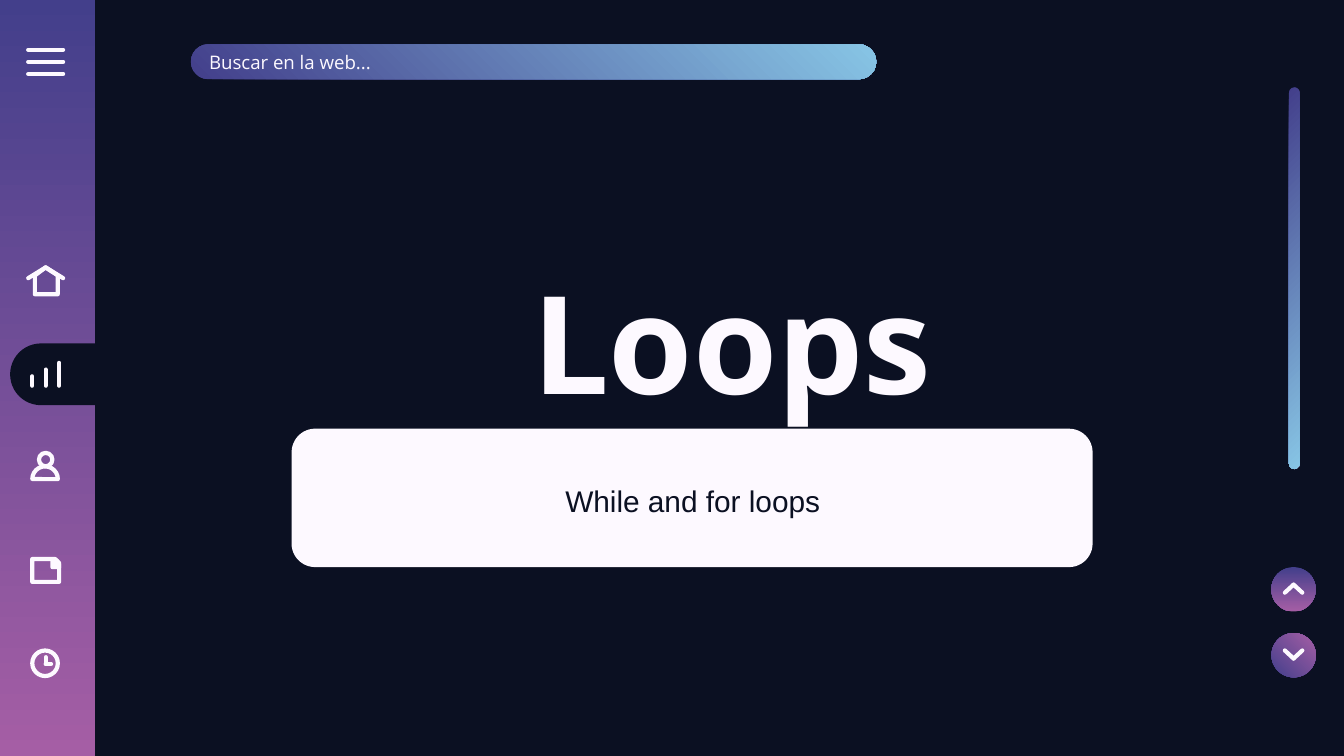
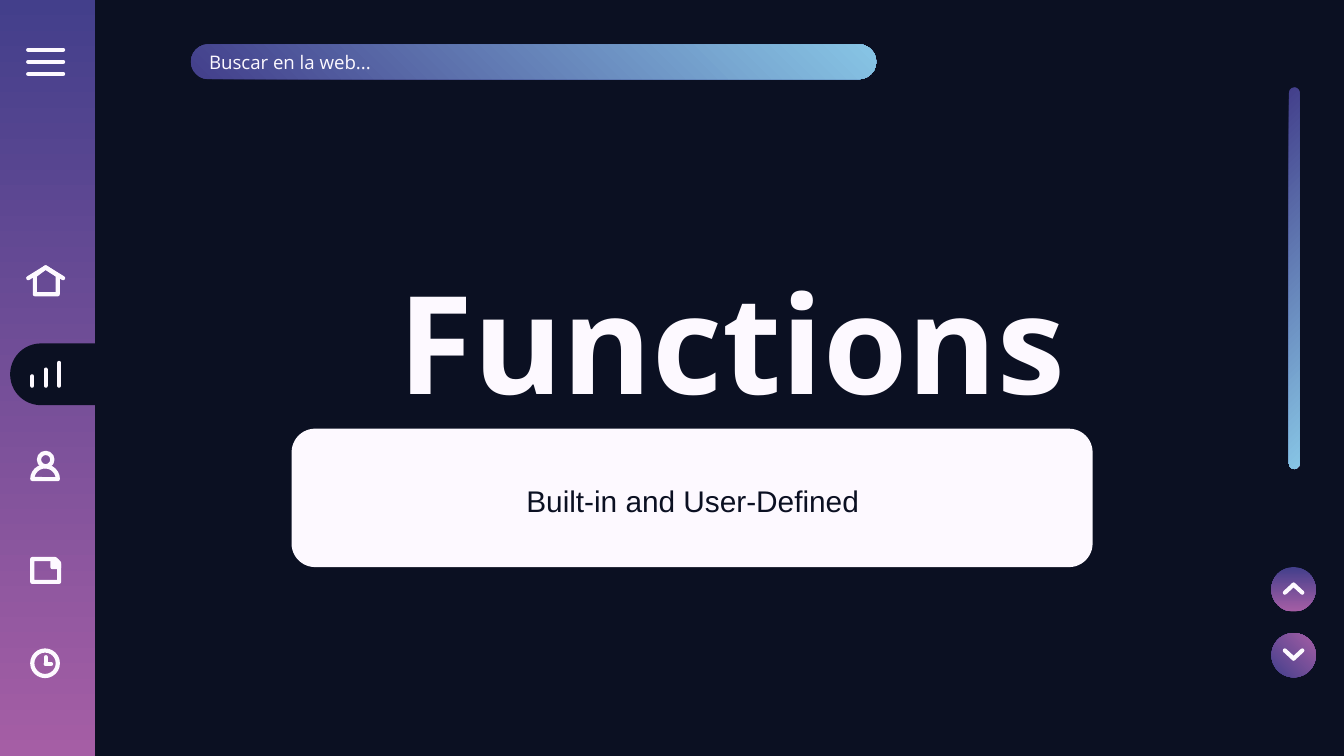
from lxml import etree
from pptx import Presentation
from pptx.dml import color
from pptx.enum import shapes, text
from pptx.oxml import ns
from pptx.util import Inches, Pt

COLUMNS, ROWS = 100, 56.25
CELL = Inches(10) / COLUMNS
INDIGO, ORCHID, SKY = "433F8B", "A55EA5", "87C5E5"
PALE, NIGHT = "FDF9FF", "0B1022"
KIND = shapes.MSO_SHAPE
UP_RIGHT, DOWN, DOWN_LEFT = 45, 270, 225
SECTIONS = [
    ("Loops", "While and for loops"),
    ("Functions", "Built-in and User-Defined"),
]


def grid(*cells):
    """Turn grid cells into lengths."""
    return [round(cell * CELL) for cell in cells]


def rgb(code):
    """Turn a hex string into a colour."""
    return color.RGBColor.from_string(code)


def assign(target, values):
    """Set each attribute of the target from a dict."""
    for name, value in values.items():
        setattr(target, name, value)


def paint(shape, fill=None, angle=None):
    """Fill a shape with one colour, a pair of gradient colours or nothing."""
    if fill is None:
        shape.fill.background()
    elif angle is None:
        shape.fill.solid()
        shape.fill.fore_color.rgb = rgb(fill)
    else:
        shape.fill.gradient()
        shape.fill.gradient_angle = angle
        for stop, code in zip(shape.fill.gradient_stops, fill):
            stop.color.rgb = rgb(code)


def stroke(shape):
    """Give a shape the pale rounded icon line."""
    shape.line.color.rgb = rgb(PALE)
    shape.line.width = Pt(2.25)
    outline = shape.line._get_or_add_ln()
    outline.set("cap", "rnd")
    etree.SubElement(outline, ns.qn("a:round"))


def add_block(parent, kind, place, fill=None, angle=None, turn=0, adjust=(), lined=False):
    """Add a preset shape placed on the grid."""
    shape = parent.shapes.add_shape(kind, *grid(*place))
    shape.shadow.inherit = False
    shape.rotation = turn
    for index, value in enumerate(adjust):
        shape.adjustments[index] = value
    paint(shape, fill, angle)
    if lined:
        stroke(shape)
    else:
        shape.line.fill.background()
    return shape


def add_strokes(parent, *ends):
    """Add straight icon lines, each given as x1, y1, x2, y2."""
    for end in ends:
        line = parent.shapes.add_connector(shapes.MSO_CONNECTOR.STRAIGHT, *grid(*end))
        stroke(line)
        etree.SubElement(line._element.spPr, ns.qn("a:effectLst"))


def add_outline(parent, points, fill=None):
    """Add a closed polygon with the icon line."""
    corners = [grid(*point) for point in points]
    builder = parent.shapes.build_freeform(*corners[0], scale=1.0)
    builder.add_line_segments(corners[1:], close=True)
    shape = builder.convert_to_shape()
    shape.shadow.inherit = False
    paint(shape, fill)
    stroke(shape)


def write(box, words, font, code, layout=None):
    """Write one paragraph, vertically centred, in a box."""
    frame = box.text_frame
    margins = dict.fromkeys(
        ("margin_left", "margin_top", "margin_right", "margin_bottom"), Inches(0.1))
    assign(frame, {"word_wrap": True, "vertical_anchor": text.MSO_ANCHOR.MIDDLE, **margins})
    para = frame.paragraphs[0]
    assign(para, {"alignment": text.PP_ALIGN.CENTER, **(layout or {})})
    span = para.add_run()
    span.text = words
    assign(span.font, font)
    span.font.color.rgb = rgb(code)


def add_menu_icon(page):
    """Draw the three menu bars."""
    icon = page.shapes.add_group_shape()
    add_strokes(icon, *[(2.1, row, 4.7, row) for row in (3.7, 4.6, 5.5)])


def add_home_icon(page):
    """Draw the house."""
    icon = page.shapes.add_group_shape()
    add_strokes(icon, *[(eave, 20.7, 3.4, 19.9) for eave in (2.1, 4.7)])
    add_outline(icon, [(2.6, 20.5), (2.6, 21.9), (4.3, 21.9), (4.3, 20.5), (3.4, 19.9)])


def add_person_icon(page):
    """Draw the head and shoulders."""
    icon = page.shapes.add_group_shape()
    add_block(icon, KIND.OVAL, (2.9, 33.7, 1, 1), lined=True)
    add_block(icon, KIND.PIE, (2.4, 34.7, 1.9, 1.9), turn=90, adjust=(54.33, 162), lined=True)


def add_clock_icon(page):
    """Draw the clock face and its hands."""
    icon = page.shapes.add_group_shape()
    add_block(icon, KIND.OVAL, (2.4, 48.4, 1.9, 1.9), lined=True)
    add_strokes(icon, (3.4, 48.9, 3.4, 49.4), (3.8, 49.4, 3.4, 49.4))


def add_chart_tab(page):
    """Draw the selected tab with its rising bars."""
    add_block(page, KIND.ROUND_2_SAME_RECTANGLE, (2, 24.3, 4.6, 7.1), NIGHT,
              turn=270, adjust=(0.5, 0))
    icon = page.shapes.add_group_shape()
    add_strokes(icon, *[(2.4 + step, 28 - step / 2, 2.4 + step, 28.7) for step in range(3)])


def add_note_icon(page):
    """Draw the note with its folded corner."""
    icon = page.shapes.add_group_shape()
    add_block(icon, KIND.SNIP_1_RECTANGLE, (2.4, 41.6, 2, 1.7), adjust=(0.17,), lined=True)
    add_outline(icon, [(3.9, 41.7), (4.2, 41.7), (4.4, 42), (4.4, 42.2), (3.9, 42.2)], PALE)


def add_arrow_button(page, top, tip, tail, angle, turn):
    """Draw a round scroll button with its chevron."""
    add_block(page, KIND.OVAL, (94.6, top, 3.3, 3.3), (INDIGO, ORCHID), angle, turn)
    icon = page.shapes.add_group_shape()
    add_strokes(icon, *[(96.25, tip, 96.25 + side, tail) for side in (-0.65, 0.65)])


def add_section(deck, title, subtitle):
    """Build one section slide."""
    page = deck.slides.add_slide(deck.slide_layouts[6])
    add_block(page, KIND.RECTANGLE, (0, 0, 7.1, ROWS), (INDIGO, ORCHID), DOWN)
    add_block(page, KIND.ROUNDED_RECTANGLE, (82.1, 20.3, 28.4, 0.8), (INDIGO, SKY),
              UP_RIGHT, turn=90, adjust=(0.5,))
    add_block(page, KIND.ROUNDED_RECTANGLE, (21.7, 31.9, 59.6, 10.3), PALE, adjust=(0.17,))
    box = page.shapes.add_textbox(*grid(18.2, 16.8, 72.5, 17))
    write(box, title, {"name": "Open Sans", "size": Pt(73), "bold": True}, PALE)
    for add_icon in (add_menu_icon, add_home_icon, add_person_icon, add_clock_icon):
        add_icon(page)
    search = add_block(page, KIND.ROUNDED_RECTANGLE, (14.2, 3.3, 51, 2.6), (INDIGO, SKY),
                       UP_RIGHT, adjust=(0.5,))
    write(search, "Buscar en la web...", {"name": "Open Sans", "size": Pt(10)}, PALE,
          {"alignment": text.PP_ALIGN.LEFT})
    add_arrow_button(page, 47.1, 49, 48.4, DOWN_LEFT, 180)
    add_arrow_button(page, 42.2, 43.5, 44.1, DOWN, 0)
    box = page.shapes.add_textbox(*grid(24.9, 31.9, 53.3, 10.3))
    write(box, subtitle, {"name": "Arial", "size": Pt(16)}, NIGHT,
          {"line_spacing": 1.15, "space_after": Pt(12)})
    add_chart_tab(page)
    add_note_icon(page)


def main():
    """Build and save the deck."""
    deck = Presentation()
    deck.slide_width, deck.slide_height = grid(COLUMNS, ROWS)
    paint(deck.slide_master.background, NIGHT)
    for title, subtitle in SECTIONS:
        add_section(deck, title, subtitle)
    deck.save("out.pptx")


if __name__ == "__main__":
    main()
